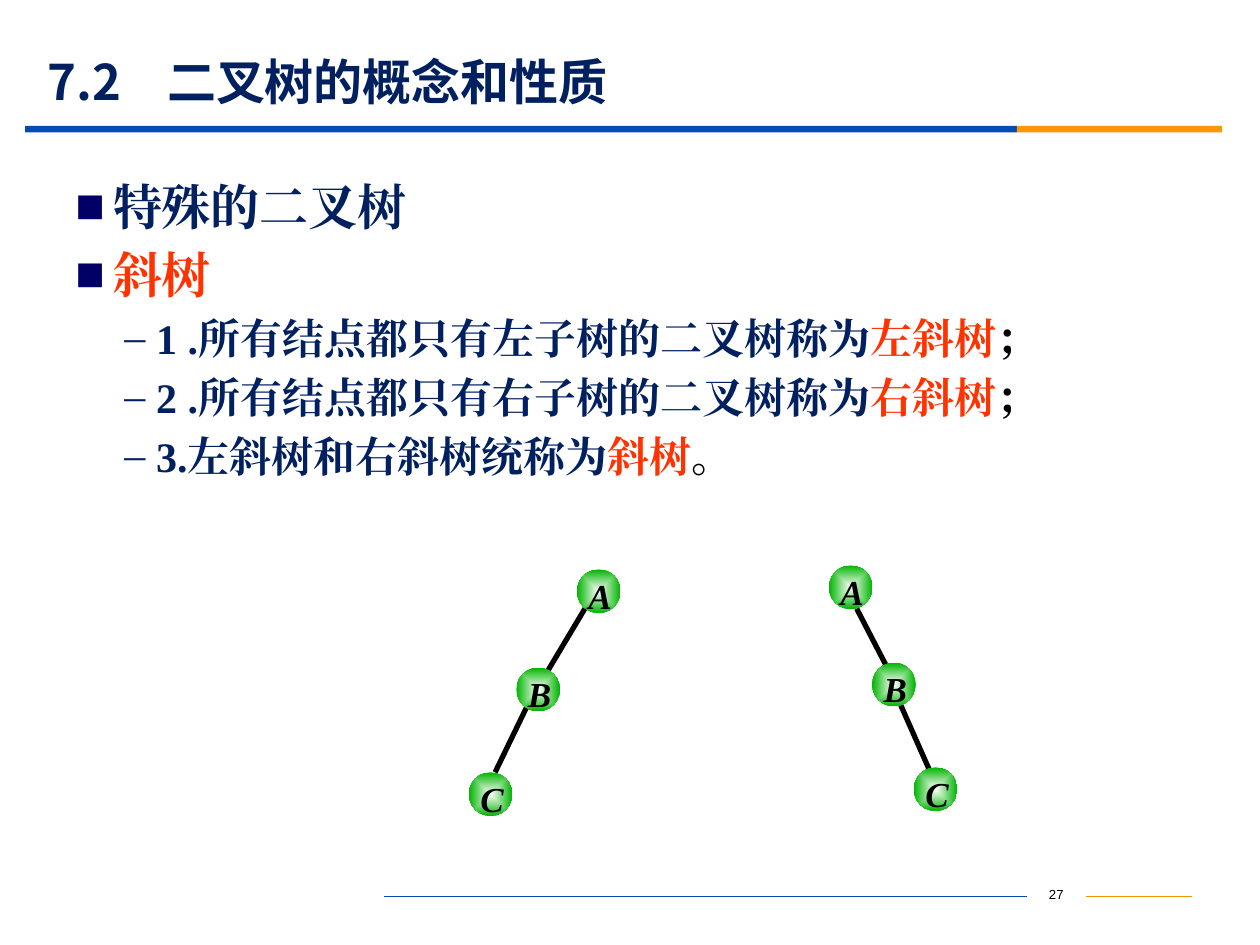
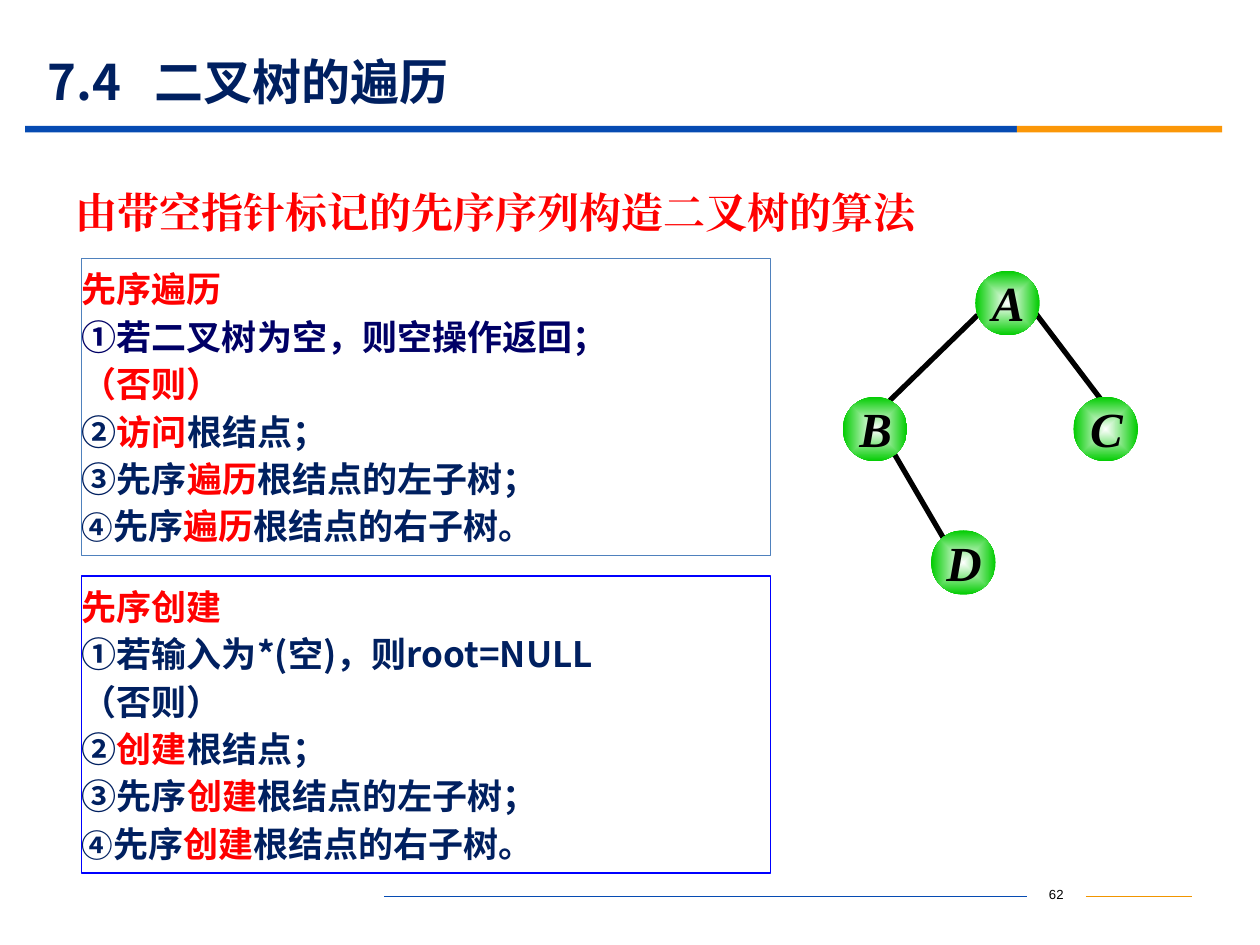
from lxml import etree
from pptx import Presentation
from pptx.dml.color import RGBColor
from pptx.enum.shapes import MSO_CONNECTOR, MSO_SHAPE
from pptx.enum.text import MSO_ANCHOR, PP_ALIGN
from pptx.oxml import parse_xml
from pptx.oxml.ns import nsdecls, qn
from pptx.util import Cm, Pt

NAVY, DEEP_BLUE, BLACK = "002060", "000066", "000000"
RED, ORANGE_RED = "FF0000", "FF3300"
SANS, SERIF = "Noto Sans CJK SC", "Times New Roman"

BANDS = [(0.51, 19.99, "064BB2"), (20.5, 4.14, "FB9708")]
FOOTER_RULES = [(7.75, 20.7, "064BB2"), (21.89, 24.03, "F19500")]

CHAPTERS = [
    {"number": "7.2", "title": "二叉树的概念和性质", "tab": 2.41, "page": "27"},
    {"number": "7.4", "title": "二叉树的遍历", "tab": 2.16, "page": "62"},
]

LEVELS = [
    {"bullet": "■", "colour": DEEP_BLUE, "size": 28, "line": 33, "before": 6, "left": 0.76, "hang": 0.76},
    {"bullet": "–", "colour": NAVY, "size": 24, "line": 27.7, "before": 6, "left": 1.63, "hang": 0.64},
]
SKEW_POINTS = [
    (0, [("特殊的二叉树", NAVY)]),
    (0, [("斜树", ORANGE_RED)]),
    (1, [("1 .所有结点都只有左子树的二叉树称为", NAVY), ("左斜树", ORANGE_RED), ("；", BLACK)]),
    (1, [("2 .所有结点都只有右子树的二叉树称为", NAVY), ("右斜树", ORANGE_RED), ("；", BLACK)]),
    (1, [("3.左斜树和右斜树统称为", NAVY), ("斜树", ORANGE_RED), ("。", BLACK)]),
]

SMALL_NODE = {"diameter": 0.88, "edge": "00B400", "size": 20,
              "label": (0.1, -0.05, 0.74, 1.02), "label_top": 0.15}
LARGE_NODE = {"diameter": 1.3, "edge": "00CC00", "size": 28,
              "label": (0.12, 0.01, 1.09, 1.35), "label_top": 0.03}

LEFT_SKEW = {
    "nodes": {"A": (11.63, 11.48), "B": (10.41, 13.46), "C": (9.45, 15.57)},
    "branches": [(11.79, 12.27, 11.02, 13.56), (10.62, 14.25, 9.98, 15.57)],
}
RIGHT_SKEW = {
    "nodes": {"A": (16.71, 11.4), "B": (17.58, 13.36), "C": (18.42, 15.47)},
    "branches": [(17.27, 12.27, 17.86, 13.41), (18.16, 14.22, 18.77, 15.6)],
}
SAMPLE_TREE = {
    "nodes": {"A": (19.66, 5.46), "B": (16.99, 8), "C": (21.64, 8), "D": (18.77, 10.69)},
    "branches": [(19.71, 6.35, 17.91, 8.1), (20.88, 6.32, 22.23, 8.1), (18.01, 9.12, 19.02, 10.85)],
}

ALGORITHM_HEADING = "由带空指针标记的先序序列构造二叉树的算法"
ALGORITHMS = [
    {"name": "先序遍历", "empty": ("①若二叉树为空，则空操作返回；", DEEP_BLUE), "else": RED,
     "root": "访问", "subtree": "遍历", "top": 5.21, "border": "4F81BD"},
    {"name": "先序创建", "empty": ("①若输入为*(空)，则root=NULL", NAVY), "else": NAVY,
     "root": "创建", "subtree": "创建", "top": 11.61, "border": "0000FF"},
]


def rgb(colour):
    return RGBColor.from_string(colour)


def set_font(paragraph, name, size, bold=True, italic=False):
    font = paragraph.font
    font.name, font.size, font.bold, font.italic = name, Pt(size), bold, italic
    defaults = paragraph._p.pPr.find(qn("a:defRPr"))
    etree.SubElement(defaults, qn("a:ea")).set("typeface", name)


def add_runs(paragraph, runs):
    for text, colour, *size in runs:
        run = paragraph.add_run()
        run.text = text
        run.font.color.rgb = rgb(colour)
        if size:
            run.font.size = Pt(size[0])


def add_text_box(shapes, left, top, width, height, anchor=MSO_ANCHOR.TOP):
    frame = shapes.add_textbox(Cm(left), Cm(top), Cm(width), Cm(height)).text_frame
    frame.word_wrap = True
    frame.vertical_anchor = anchor
    return frame


def add_line(shapes, x1, y1, x2, y2, colour, weight):
    line = shapes.add_connector(MSO_CONNECTOR.STRAIGHT, Cm(x1), Cm(y1), Cm(x2), Cm(y2))
    line.line.color.rgb = rgb(colour)
    line.line.width = Pt(weight)
    etree.SubElement(line._element.spPr, qn("a:effectLst"))


def add_shape(shapes, preset, left, top, width, height):
    shape = shapes.add_shape(preset, Cm(left), Cm(top), Cm(width), Cm(height))
    shape.shadow.inherit = False
    return shape


def add_chapter_slide(deck, chapter):
    slide = deck.slides.add_slide(deck.slide_layouts[6])
    for left, width, colour in BANDS:
        band = add_shape(slide.shapes, MSO_SHAPE.RECTANGLE, left, 2.54, width, 0.13)
        band.fill.solid()
        band.fill.fore_color.rgb = rgb(colour)
        band.line.fill.background()
    for start, end, colour in FOOTER_RULES:
        add_line(slide.shapes, start, 18.08, end, 18.08, colour, 0.75)

    page = add_text_box(slide.shapes, 20.7, 17.75, 1.19, 0.64).paragraphs[0]
    page.alignment = PP_ALIGN.CENTER
    set_font(page, "Arial", 7.5, bold=False)
    add_runs(page, [(chapter["page"], BLACK)])

    title = add_text_box(slide.shapes, 0.71, 1.09, 22.86, 1.09, MSO_ANCHOR.MIDDLE).paragraphs[0]
    tabs = etree.SubElement(title._p.get_or_add_pPr(), qn("a:tabLst"))
    etree.SubElement(tabs, qn("a:tab"), pos=str(Cm(chapter["tab"])), algn="l")
    set_font(title, SANS, 28)
    add_runs(title, [(chapter["number"] + "\t" + chapter["title"], NAVY)])
    return slide


def add_bullet(paragraph, level):
    properties = paragraph._p.get_or_add_pPr()
    properties.set("marL", str(Cm(level["left"])))
    properties.set("indent", str(-Cm(level["hang"])))
    colour = etree.SubElement(properties, qn("a:buClr"))
    etree.SubElement(colour, qn("a:srgbClr"), val=level["colour"])
    etree.SubElement(properties, qn("a:buFont"), typeface=SERIF)
    etree.SubElement(properties, qn("a:buChar"), char=level["bullet"])


def add_points(slide, points):
    frame = add_text_box(slide.shapes, 1.27, 3.35, 22.86, 9)
    frame.margin_top = Cm(0.23)
    for index, (depth, runs) in enumerate(points):
        level = LEVELS[depth]
        point = frame.add_paragraph() if index else frame.paragraphs[0]
        point.level = depth
        add_bullet(point, level)
        point.line_spacing = Pt(level["line"])
        if index:
            point.space_before = Pt(level["before"])
        set_font(point, SERIF, level["size"])
        add_runs(point, runs)


def radial_fill(edge):
    return parse_xml(
        f'<a:gradFill {nsdecls("a")} rotWithShape="1"><a:gsLst>'
        f'<a:gs pos="0"><a:srgbClr val="FFFFFF"/></a:gs>'
        f'<a:gs pos="100000"><a:srgbClr val="{edge}"/></a:gs></a:gsLst>'
        f'<a:path path="shape"><a:fillToRect l="50000" t="50000" r="50000" b="50000"/>'
        f'</a:path></a:gradFill>')


def add_tree(slide, tree, style):
    shapes = slide.shapes.add_group_shape().shapes
    for branch in tree["branches"]:
        add_line(shapes, *branch, BLACK, 3)
    dx, dy, width, height = style["label"]
    for letter, (left, top) in tree["nodes"].items():
        node = add_shape(shapes, MSO_SHAPE.OVAL, left, top, style["diameter"], style["diameter"])
        node.line.fill.background()
        node._element.spPr.find(qn("a:prstGeom")).addnext(radial_fill(style["edge"]))
        frame = add_text_box(shapes, left + dx, top + dy, width, height)
        frame.margin_left = frame.margin_right = frame.margin_bottom = 0
        frame.margin_top = Cm(style["label_top"])
        label = frame.paragraphs[0]
        label.alignment = PP_ALIGN.CENTER
        set_font(label, SERIF, style["size"], italic=True)
        add_runs(label, [(letter, BLACK)])


def algorithm_steps(algorithm):
    subtree = (algorithm["subtree"], RED)
    return [
        [(algorithm["name"], RED)],
        [algorithm["empty"]],
        [("（否则）", algorithm["else"])],
        [("②", NAVY), (algorithm["root"], RED), ("根结点；", NAVY)],
        [("③先序", NAVY), subtree, ("根结点的左子树；", NAVY)],
        [("④", NAVY, 18), ("先序", NAVY), subtree, ("根结点的右子树。", NAVY)],
    ]


def add_algorithm(slide, algorithm):
    box = add_shape(slide.shapes, MSO_SHAPE.RECTANGLE, 1.65, algorithm["top"], 13.89, 5.99)
    box.fill.background()
    box.line.color.rgb = rgb(algorithm["border"])
    box.line.width = Pt(0.75)
    frame = box.text_frame
    frame.word_wrap = True
    frame.vertical_anchor = MSO_ANCHOR.TOP
    frame.margin_left = frame.margin_right = frame.margin_bottom = 0
    frame.margin_top = Cm(0.08)
    for index, runs in enumerate(algorithm_steps(algorithm)):
        step = frame.add_paragraph() if index else frame.paragraphs[0]
        step.alignment = PP_ALIGN.JUSTIFY
        step.line_spacing = Pt(27.1)
        set_font(step, SANS, 20)
        add_runs(step, runs)


def main():
    deck = Presentation()
    deck.slide_width, deck.slide_height = Cm(25.4), Cm(19.05)
    skew_slide, traversal_slide = [add_chapter_slide(deck, chapter) for chapter in CHAPTERS]

    add_points(skew_slide, SKEW_POINTS)
    for tree in (LEFT_SKEW, RIGHT_SKEW):
        add_tree(skew_slide, tree, SMALL_NODE)

    heading = add_text_box(traversal_slide.shapes, 1.27, 3.3, 22.86, 1.93, MSO_ANCHOR.MIDDLE).paragraphs[0]
    set_font(heading, SERIF, 24)
    add_runs(heading, [(ALGORITHM_HEADING, RED)])
    for algorithm in ALGORITHMS:
        add_algorithm(traversal_slide, algorithm)
    add_tree(traversal_slide, SAMPLE_TREE, LARGE_NODE)

    deck.save("out.pptx")


if __name__ == "__main__":
    main()
